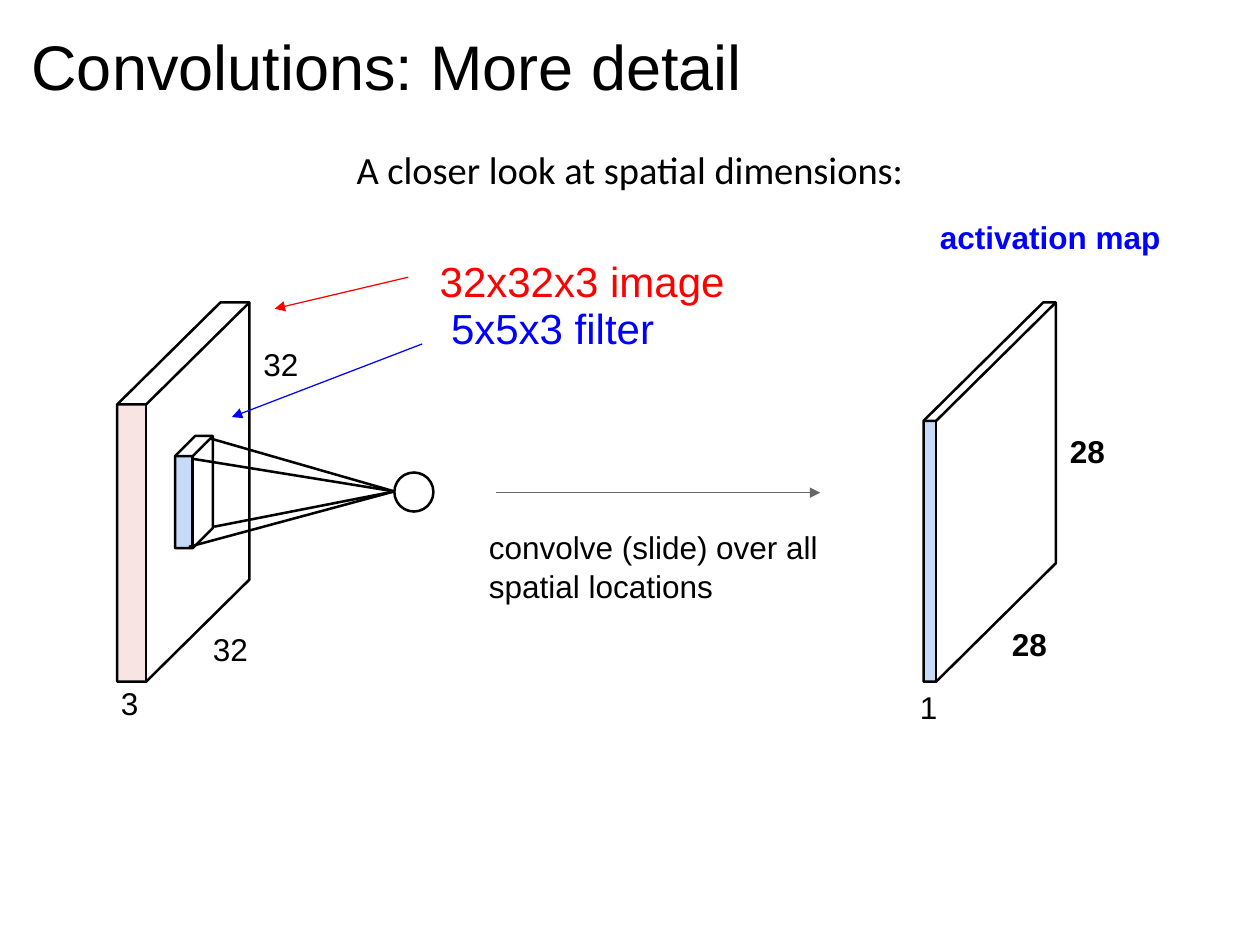
import pptx
import pptx.dml.color
import pptx.enum.shapes
import pptx.enum.text
import pptx.oxml
import pptx.oxml.ns
import pptx.util
from pptx.util import Inches

COLORS = {
    "ink": "000000",
    "image": "FF0000",
    "filter": "0000FF",
    "slide_arrow": "666666",
    "image_face": "F4CCCC",
    "filter_face": "C7DAF7",
}


class ConvolutionSlide:
    font = "Arial"
    label_size = 18
    edge_width = 1.44
    arrow_width = 0.72

    def __init__(self, slide):
        self.slide = slide
        self.shapes = slide.shapes

    def color(self, name):
        return pptx.dml.color.RGBColor.from_string(COLORS[name])

    def subelement(self, parent, tag, **attributes):
        element = pptx.oxml.parse_xml(f"<{tag} {pptx.oxml.ns.nsdecls('a')}/>")
        for key, value in attributes.items():
            element.set(key, value)
        parent.append(element)

    def set_text(self, shape, lines, size, color="ink", bold=False, font=None, gap=0):
        frame = shape.text_frame
        frame.margin_left = frame.margin_right = 0
        frame.margin_top = frame.margin_bottom = 0
        frame.vertical_anchor = pptx.enum.text.MSO_ANCHOR.TOP
        frame.word_wrap = True
        frame.text = "\n".join(lines)
        for index, paragraph in enumerate(frame.paragraphs):
            paragraph.alignment = pptx.enum.text.PP_ALIGN.LEFT
            paragraph.space_before = pptx.util.Pt(gap if index else 0)
            paragraph.font.name = font or self.font
            paragraph.font.size = pptx.util.Pt(size)
            paragraph.font.bold = bold
            paragraph.font.color.rgb = self.color(color)

    def title(self, text, left, top, width, height):
        title = self.shapes.title
        title.left, title.top = Inches(left), Inches(top)
        title.width, title.height = Inches(width), Inches(height)
        self.set_text(title, [text], 36)

    def label(self, lines, left, top, width=0.35, size=label_size, **style):
        height = 0.3 * len(lines) * size / self.label_size
        box = self.shapes.add_textbox(
            Inches(left), Inches(top), Inches(width), Inches(height))
        self.set_text(box, lines, size, **style)

    def outline(self, shape):
        shape.shadow.inherit = False
        shape.fill.background()
        shape.line.color.rgb = self.color("ink")
        shape.line.width = pptx.util.Pt(self.edge_width)

    def block(self, left, top, width, height, dx, dy, face, alpha=None):
        """A slab: a coloured front face and edges receding up to the right."""
        front = self.shapes.add_shape(
            pptx.enum.shapes.MSO_SHAPE.RECTANGLE,
            Inches(left), Inches(top), Inches(width), Inches(height))
        front.shadow.inherit = False
        front.fill.solid()
        front.fill.fore_color.rgb = self.color(face)
        front.line.fill.background()
        if alpha:
            rgb = front._element.spPr.find(".//" + pptx.oxml.ns.qn("a:srgbClr"))
            self.subelement(rgb, "a:alpha", val=str(alpha * 1000))

        def point(x, y):
            return Inches(x), Inches(y)

        right, bottom = left + width, top + height
        corner = point(left, top)
        inner = point(right, top)
        foot = point(right, bottom)
        back = point(right + dx, top - dy)
        edges = self.shapes.build_freeform(*corner, scale=1.0)
        edges.add_line_segments(
            [point(left + dx, top - dy), back, point(right + dx, bottom - dy),
             foot, point(left, bottom)], close=True)
        edges.move_to(*corner)
        edges.add_line_segments([inner, back], close=False)
        edges.move_to(*inner)
        edges.add_line_segments([foot], close=False)
        self.outline(edges.convert_to_shape())

    def neuron(self, left, top, size):
        self.outline(self.shapes.add_shape(
            pptx.enum.shapes.MSO_SHAPE.OVAL,
            Inches(left), Inches(top), Inches(size), Inches(size)))

    def line(self, start, end, color="ink", width=edge_width):
        connector = self.shapes.add_connector(
            pptx.enum.shapes.MSO_CONNECTOR.STRAIGHT,
            *(Inches(value) for value in (*start, *end)))
        connector.line.color.rgb = self.color(color)
        connector.line.width = pptx.util.Pt(width)
        self.subelement(connector._element.spPr, "a:effectLst")
        return connector

    def arrow(self, start, end, color):
        connector = self.line(start, end, color, self.arrow_width)
        outline = connector._element.spPr.find(pptx.oxml.ns.qn("a:ln"))
        self.subelement(outline, "a:tailEnd", type="triangle", w="med", len="med")


def main():
    presentation = pptx.Presentation()
    presentation.slide_width = Inches(10)
    presentation.slide_height = Inches(7.5)
    page = ConvolutionSlide(
        presentation.slides.add_slide(presentation.slide_layouts[5]))

    # Headings
    page.title("Convolutions: More detail", 0.25, 0.22, 6.2, 0.63)
    page.label(["A closer look at spatial dimensions:"], 2.83, 1.16, 4.6,
               size=22, font="Calibri")

    # Filter with its rays to one neuron
    page.block(1.39, 3.62, 0.14, 0.73, 0.16, 0.16, "filter_face")
    page.neuron(3.13, 3.75, 0.31)
    for corner in [(1.5, 4.34), (1.52, 3.64), (1.67, 3.48), (1.7, 4.18)]:
        page.line(corner, (3.13, 3.9))

    # Input image
    page.block(0.93, 3.21, 0.23, 2.2, 0.82, 0.81, "image_face", alpha=52)
    page.label(["32"], 2.09, 2.74)
    page.label(["32"], 1.69, 5)
    page.label(["3"], 0.96, 5.43)

    # Callouts
    page.arrow((3.24, 2.2), (2.18, 2.45), "image")
    page.label(["32x32x3 image"], 3.49, 2.03, 2.5, size=24, color="image")
    page.arrow((3.35, 2.73), (1.84, 3.31), "filter")
    page.label(["5x5x3 filter"], 3.58, 2.4, 2.2, size=24, color="filter")

    # Sliding step
    page.arrow((3.94, 3.91), (6.51, 3.91), "slide_arrow")
    page.label(["convolve (slide) over all", "spatial locations"],
               3.88, 4.19, 2.9, gap=1)

    # Activation map
    page.block(7.33, 3.34, 0.1, 2.07, 0.95, 0.94, "filter_face")
    page.label(["activation map"], 7.46, 1.73, 1.95, color="filter", bold=True)
    page.label(["28"], 8.49, 3.43, bold=True)
    page.label(["28"], 8.03, 4.96, bold=True)
    page.label(["1"], 7.3, 5.46)

    presentation.save("out.pptx")


if __name__ == "__main__":
    main()
